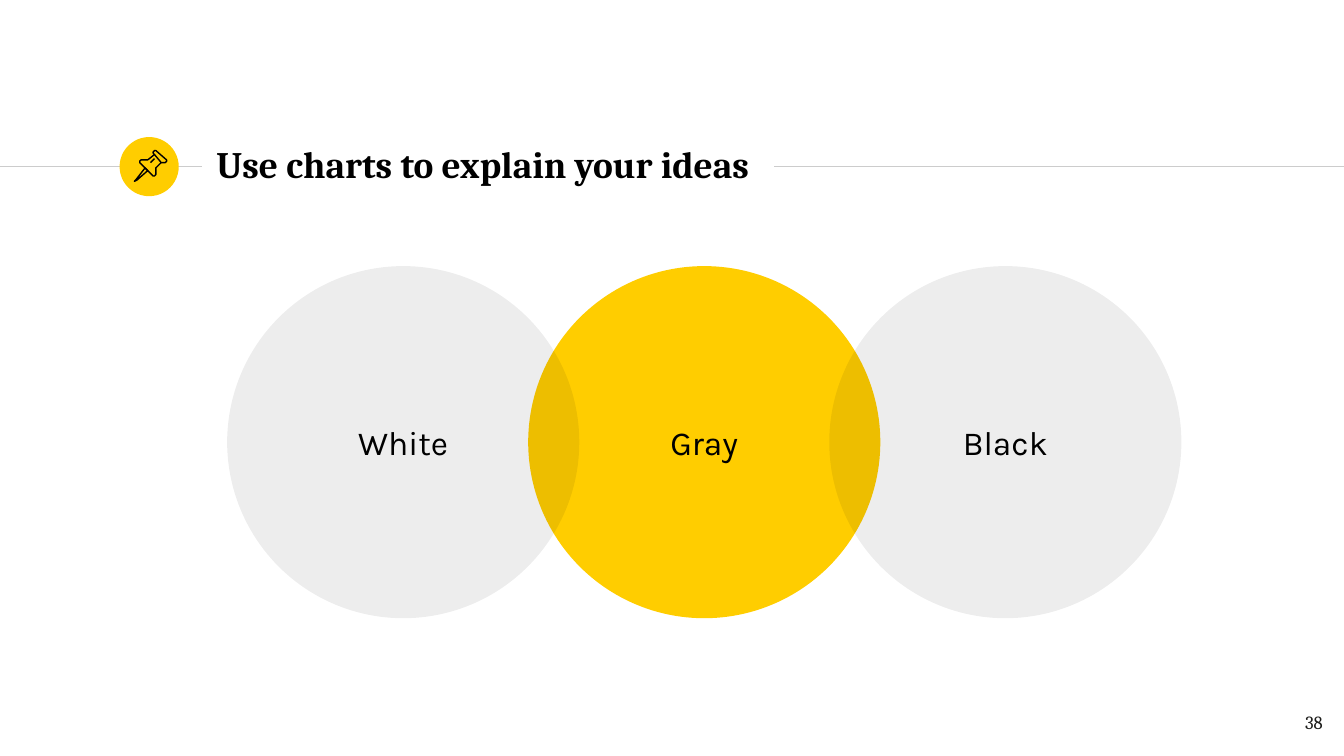
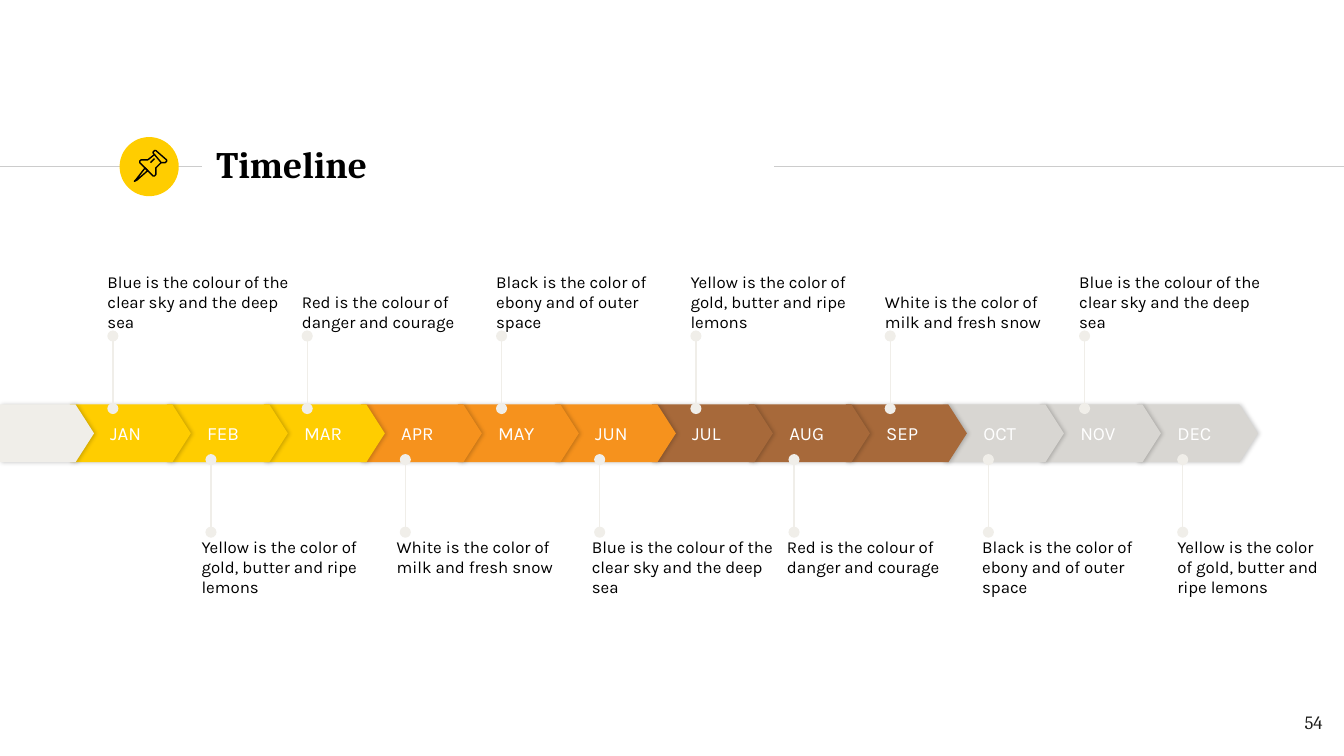
from dataclasses import dataclass

from lxml import etree
from pptx import Presentation
from pptx.dml.color import RGBColor
from pptx.enum.shapes import MSO_CONNECTOR, MSO_SHAPE
from pptx.enum.text import MSO_ANCHOR, MSO_AUTO_SIZE, PP_ALIGN
from pptx.oxml.ns import qn
from pptx.util import Inches, Pt

STRAIGHT = MSO_CONNECTOR.STRAIGHT
OVAL, PENTAGON = MSO_SHAPE.OVAL, MSO_SHAPE.PENTAGON
TOP, MIDDLE, BOTTOM = MSO_ANCHOR.TOP, MSO_ANCHOR.MIDDLE, MSO_ANCHOR.BOTTOM
LEFT, CENTER, RIGHT = PP_ALIGN.LEFT, PP_ALIGN.CENTER, PP_ALIGN.RIGHT
NO_AUTOFIT = MSO_AUTO_SIZE.NONE

SLIDE_WIDTH = 10
SLIDE_HEIGHT = SLIDE_WIDTH * 9 / 16
HEADING_FONT, BODY_FONT = "Cambria", "Karla"
COLORS = {
    "yellow": "FFCD00",
    "orange": "F6921D",
    "brown": "A7693A",
    "gray": "D8D6D2",
    "pale": "F0EEE9",
    "rule": "CCCCCC",
    "black": "000000",
    "ink": "1D1D1B",
    "white": "FFFFFF",
}

# Pushpin outlines, in hundredths of an inch on the slide: (points, closed)
PIN_OUTLINES = [
    ([(108, 125), (101, 134), (100, 135), (102, 134), (110, 127)], True),
    ([(115, 115), (120, 121), (121, 121), (123, 121), (124, 120), (124, 119),
      (116, 112), (115, 112), (114, 113), (114, 114)], True),
    ([(115, 115), (110, 119), (107, 119), (105, 119), (104, 120), (104, 121),
      (114, 131), (115, 131), (116, 130), (116, 128), (116, 125),
      (120, 121)], False),
    ([(112, 121), (115, 118)], False),
]


@dataclass
class TextStyle:
    size: float
    font: str = BODY_FONT
    color: str = "black"
    bold: bool = False
    align: PP_ALIGN = LEFT
    anchor: MSO_ANCHOR = TOP
    inset: float = 0
    left_inset: float | None = None


@dataclass
class VennCircle:
    label: str
    position: int
    color: str
    opacity: int = 100


@dataclass
class Quarter:
    months: tuple[str, str, str]
    color: str


@dataclass
class NoteRow:
    notes: list[str]
    stem_left: float
    stem_from: float
    stem_to: float
    text_left: float
    text_last: float
    text_top: float
    anchor: MSO_ANCHOR
    last_width: float


TITLE = TextStyle(20, HEADING_FONT, bold=True, anchor=MIDDLE, inset=0.1)
PAGE_NUMBER = TextStyle(10, HEADING_FONT, "ink", align=RIGHT, inset=0.1)
VENN_LABEL = TextStyle(18, align=CENTER, anchor=MIDDLE, inset=0.1)
MONTH = TextStyle(10, color="white", anchor=MIDDLE, left_inset=0.3)

# Venn diagram
VENN_LEFT, VENN_TOP, VENN_SIZE, VENN_PITCH = 1.69, 1.98, 2.62, 2.24
VENN_CIRCLES = [
    VennCircle("Gray", 1, "yellow"),
    VennCircle("White", 0, "black", 7),
    VennCircle("Black", 2, "black", 7),
]

# Timeline
BAND_TOP, BAND_HEIGHT, MONTH_WIDTH = 3.01, 0.43, 0.9
JAN_LEFT, DEC_LEFT = 0.52, 8.46
QUARTERS = [
    Quarter(("JAN", "FEB", "MAR"), "yellow"),
    Quarter(("APR", "MAY", "JUN"), "orange"),
    Quarter(("JUL", "AUG", "SEP"), "brown"),
    Quarter(("OCT", "NOV", "DEC"), "gray"),
]
BLUE = "Blue is the colour of the clear sky and the deep sea"
RED = "Red is the colour of danger and courage"
BLACK = "Black is the color of ebony and of outer space"
YELLOW = "Yellow is the color of gold, butter and ripe lemons"
WHITE = "White is the color of milk and fresh snow"
STEM_SPAN, NOTE_WIDTH, NOTE_HEIGHT = 7.23, 1.37, 0.58
NOTE_ROWS = [
    NoteRow([BLUE, RED, BLACK, YELLOW, WHITE, BLUE],
            0.84, 3.04, 2.5, 0.8, 8.03, 1.89, BOTTOM, NOTE_WIDTH),
    NoteRow([YELLOW, WHITE, BLUE, RED, BLACK, YELLOW],
            1.57, 3.96, 3.42, 1.5, 8.76, 3.99, TOP, 1.13),
]


def rgb(name: str) -> RGBColor:
    return RGBColor.from_string(COLORS[name])


def write(shape, text: str, style: TextStyle) -> None:
    frame = shape.text_frame
    frame.word_wrap = True
    frame.auto_size = NO_AUTOFIT
    frame.vertical_anchor = style.anchor
    frame.margin_top = frame.margin_bottom = Inches(style.inset)
    frame.margin_left = frame.margin_right = Inches(style.inset)
    if style.left_inset is not None:
        frame.margin_left = Inches(style.left_inset)
    frame.text = text
    paragraph = frame.paragraphs[0]
    paragraph.alignment = style.align
    paragraph.font.name = style.font
    paragraph.font.size = Pt(style.size)
    paragraph.font.bold = style.bold
    paragraph.font.color.rgb = rgb(style.color)


def add_text(slide, left: float, top: float, width: float, height: float,
             text: str, style: TextStyle) -> None:
    box = slide.shapes.add_textbox(Inches(left), Inches(top),
                                   Inches(width), Inches(height))
    write(box, text, style)


def add_filled(slide, kind: MSO_SHAPE, left: float, top: float, width: float,
               height: float, color: str, opacity: int = 100):
    shape = slide.shapes.add_shape(kind, Inches(left), Inches(top),
                                   Inches(width), Inches(height))
    shape.shadow.inherit = False
    shape.line.fill.background()
    shape.fill.solid()
    shape.fill.fore_color.rgb = rgb(color)
    if opacity < 100:
        fill_color = shape._element.spPr.find(qn("a:solidFill"))[0]
        etree.SubElement(fill_color, qn("a:alpha"), val=str(opacity * 1000))
    return shape


def add_line(slide, x1: float, y1: float, x2: float, y2: float, color: str,
             oval_ends: bool = False) -> None:
    line = slide.shapes.add_connector(STRAIGHT, Inches(x1), Inches(y1),
                                      Inches(x2), Inches(y2))
    line.line.color.rgb = rgb(color)
    line.line.width = Pt(0.75)
    properties = line._element.spPr
    if oval_ends:
        outline = properties.find(qn("a:ln"))
        for end in ("a:headEnd", "a:tailEnd"):
            etree.SubElement(outline, qn(end), type="oval")
    etree.SubElement(properties, qn("a:effectLst"))


def add_pin(slide) -> None:
    pin = slide.shapes.add_group_shape()
    for points, closed in PIN_OUTLINES:
        builder = pin.shapes.build_freeform(*points[0], scale=Inches(0.01))
        builder.add_line_segments(points[1:], close=closed)
        part = builder.convert_to_shape()
        part.shadow.inherit = False
        part.fill.background()
        part.line.color.rgb = rgb("black")
        part.line.width = Pt(0.75)


def add_titled_slide(prs, title: str, page: int):
    """Add a slide with the heading band, pin badge, title and page number."""
    slide = prs.slides.add_slide(prs.slide_layouts[5])
    add_line(slide, 0, 1.24, 1.5, 1.24, "rule")
    add_filled(slide, OVAL, 0.89, 1.02, 0.44, 0.44, "yellow")
    add_line(slide, 5.76, 1.24, SLIDE_WIDTH, 1.24, "rule")
    add_pin(slide)
    heading = slide.shapes.title
    heading.left, heading.top = Inches(1.51), Inches(0.98)
    heading.width, heading.height = Inches(4.24), Inches(0.48)
    write(heading, title, TITLE)
    add_text(slide, 9.34, 5.19, 0.6, 0.43, str(page), PAGE_NUMBER)
    return slide


def add_band_step(slide, left: float, width: float, color: str):
    """Add one arrow of the timeline band, with a soft shadow to its right."""
    step = add_filled(slide, PENTAGON, left, BAND_TOP, width, BAND_HEIGHT,
                      color)
    step.adjustments[0] = 0.32
    effects = step._element.spPr.find(qn("a:effectLst"))
    shadow = etree.SubElement(effects, qn("a:outerShdw"),
                              blurRad=str(Pt(2.2)), dist=str(Pt(0.8)),
                              dir="0", algn="bl", rotWithShape="0")
    shade = etree.SubElement(shadow, qn("a:srgbClr"), val=COLORS["black"])
    etree.SubElement(shade, qn("a:alpha"), val="20000")
    return step


def build_venn(prs) -> None:
    slide = add_titled_slide(prs, "Use charts to explain your ideas", 38)
    for circle in VENN_CIRCLES:
        left = VENN_LEFT + circle.position * VENN_PITCH
        disc = add_filled(slide, OVAL, left, VENN_TOP, VENN_SIZE, VENN_SIZE,
                          circle.color, circle.opacity)
        write(disc, circle.label, VENN_LABEL)


def build_timeline(prs) -> None:
    slide = add_titled_slide(prs, "Timeline", 54)

    # Month band, from the right so that each arrow overlaps the next
    months = [(month, quarter.color)
              for quarter in QUARTERS for month in quarter.months]
    pitch = (DEC_LEFT - JAN_LEFT) / (len(months) - 1)
    for i, (month, color) in reversed(list(enumerate(months))):
        step = add_band_step(slide, JAN_LEFT + i * pitch, MONTH_WIDTH, color)
        write(step, month, MONTH)
    add_band_step(slide, 0, 0.7, "pale")

    # Notes above and below the band
    for row in NOTE_ROWS:
        style = TextStyle(9, anchor=row.anchor)
        last = len(row.notes) - 1
        for i, note in enumerate(row.notes):
            stem = row.stem_left + i * STEM_SPAN / last
            left = row.text_left + i * (row.text_last - row.text_left) / last
            width = row.last_width if i == last else NOTE_WIDTH
            add_line(slide, stem, row.stem_from, stem, row.stem_to, "pale",
                     oval_ends=True)
            add_text(slide, left, row.text_top, width, NOTE_HEIGHT, note,
                     style)


def main() -> None:
    prs = Presentation()
    prs.slide_width = Inches(SLIDE_WIDTH)
    prs.slide_height = Inches(SLIDE_HEIGHT)
    build_venn(prs)
    build_timeline(prs)
    prs.save("out.pptx")


if __name__ == "__main__":
    main()
